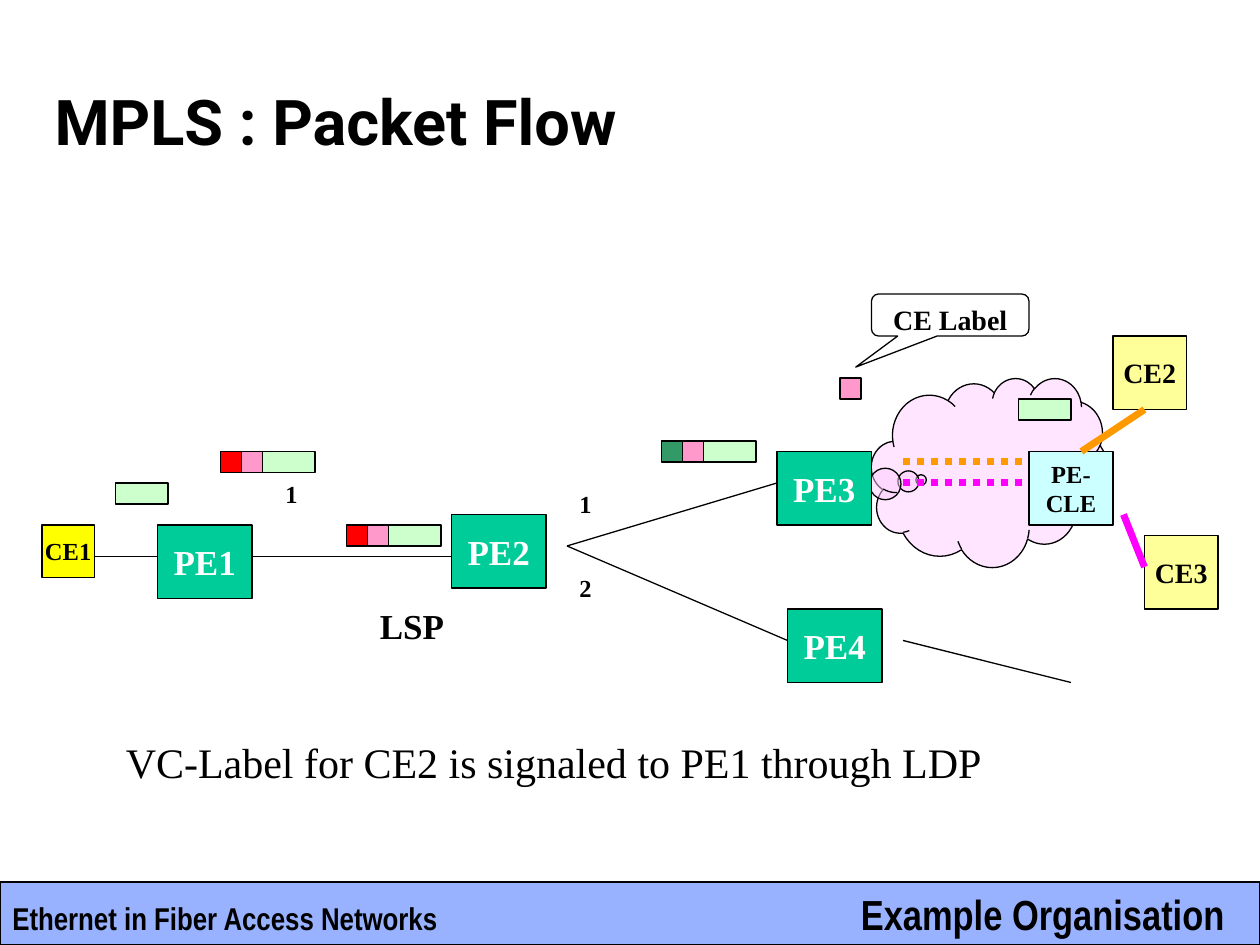
from dataclasses import dataclass
from typing import Optional

from lxml import etree
from pptx import Presentation
from pptx.dml.color import RGBColor
from pptx.enum.dml import MSO_LINE
from pptx.enum.shapes import MSO_CONNECTOR, MSO_SHAPE
from pptx.enum.text import MSO_ANCHOR, MSO_AUTO_SIZE, PP_ALIGN
from pptx.oxml.ns import qn
from pptx.util import Inches, Pt

RECTANGLE = MSO_SHAPE.RECTANGLE
CLOUD = MSO_SHAPE.CLOUD_CALLOUT
CALLOUT = MSO_SHAPE.ROUNDED_RECTANGULAR_CALLOUT
STRAIGHT = MSO_CONNECTOR.STRAIGHT
DOTTED = MSO_LINE.ROUND_DOT
MIDDLE, TOP = MSO_ANCHOR.MIDDLE, MSO_ANCHOR.TOP
LEFT, CENTER = PP_ALIGN.LEFT, PP_ALIGN.CENTER
GROW = MSO_AUTO_SIZE.SHAPE_TO_FIT_TEXT

BLACK = RGBColor(0x00, 0x00, 0x00)
WHITE = RGBColor(0xFF, 0xFF, 0xFF)
BLUE = RGBColor(0x33, 0x66, 0xFF)
TEAL = RGBColor(0x00, 0xCC, 0x99)
YELLOW = RGBColor(0xFF, 0xFF, 0x00)
PALE_YELLOW = RGBColor(0xFF, 0xFF, 0x99)
PALE_CYAN = RGBColor(0xCC, 0xFF, 0xFF)
PALE_GREEN = RGBColor(0xCC, 0xFF, 0xCC)
GREEN = RGBColor(0x33, 0x99, 0x66)
RED = RGBColor(0xFF, 0x00, 0x00)
PINK = RGBColor(0xFF, 0x99, 0xCC)
LILAC = RGBColor(0xFF, 0xCC, 0xFF)
ORANGE = RGBColor(0xFF, 0x99, 0x00)
MAGENTA = RGBColor(0xFF, 0x00, 0xFF)

SERIF, NARROW, HEADING = "Times New Roman", "Arial Narrow", "Roboto"
PAGE_WIDTH, PAGE_HEIGHT = Inches(10), Inches(7.5)
COLUMNS, ROWS = 120, 90
LABEL_SIZE = 2
PAYLOAD_WIDTH = 5


@dataclass(frozen=True)
class Area:
    column: float
    row: float
    width: float
    height: float

    def lengths(self) -> tuple[int, int, int, int]:
        return across(self.column), down(self.row), across(self.width), down(self.height)


@dataclass(frozen=True)
class Node:
    text: str
    area: Area
    fill: RGBColor
    size: int
    color: RGBColor = BLACK


@dataclass(frozen=True)
class Link:
    start: tuple[float, float]
    end: tuple[float, float]
    color: RGBColor = BLACK
    width: float = 0.75
    dash: Optional[MSO_LINE] = None


@dataclass(frozen=True)
class Label:
    text: str
    area: Area
    size: int
    font: str = SERIF
    bold: bool = True
    wrap: bool = False


def router(text: str, column: float, row: float) -> Node:
    return Node(text, Area(column, row, 9, 7), TEAL, 20, WHITE)


def across(columns: float) -> int:
    return round(PAGE_WIDTH * columns / COLUMNS)


def down(rows: float) -> int:
    return round(PAGE_HEIGHT * rows / ROWS)


def write(frame, text: str, size: int, font: str = SERIF, color: RGBColor = BLACK,
          bold: bool = True, align: PP_ALIGN = LEFT) -> None:
    for index, line in enumerate(text.split("\n")):
        para = frame.add_paragraph() if index else frame.paragraphs[0]
        para.alignment = align
        span = para.add_run()
        span.text = line
        span.font.name = font
        span.font.size = Pt(size)
        span.font.bold = bold
        span.font.color.rgb = color


def draw_shape(shapes, area: Area, fill: Optional[RGBColor], kind=RECTANGLE,
               opacity: int = 100, adjustments: tuple[float, ...] = ()):
    shape = shapes.add_shape(kind, *area.lengths())
    shape.shadow.inherit = False
    for index, value in enumerate(adjustments):
        shape.adjustments[index] = value
    if fill is None:
        shape.fill.background()
    else:
        shape.fill.solid()
        shape.fill.fore_color.rgb = fill
    if opacity < 100:
        color = shape.fill._xPr.find(qn("a:solidFill"))[0]
        etree.SubElement(color, qn("a:alpha"), val=str(opacity * 1000))
    shape.line.color.rgb = BLACK
    shape.line.width = Pt(0.75)
    return shape


def draw_node(shapes, node: Node) -> None:
    frame = draw_shape(shapes, node.area, node.fill).text_frame
    frame.word_wrap = False
    frame.vertical_anchor = MIDDLE
    write(frame, node.text, node.size, color=node.color, align=CENTER)


def draw_link(shapes, link: Link) -> None:
    connector = shapes.add_connector(STRAIGHT, across(link.start[0]), down(link.start[1]),
                                     across(link.end[0]), down(link.end[1]))
    connector.line.color.rgb = link.color
    connector.line.width = Pt(link.width)
    if link.dash is not None:
        connector.line.dash_style = link.dash
    etree.SubElement(connector._element.spPr, qn("a:effectLst"))


def draw_label(shapes, label: Label) -> None:
    frame = shapes.add_textbox(*label.area.lengths()).text_frame
    frame.word_wrap = label.wrap
    frame.auto_size = GROW
    write(frame, label.text, label.size, label.font, bold=label.bold)


def draw_payload(shapes, column: float, row: float) -> None:
    draw_shape(shapes, Area(column, row, PAYLOAD_WIDTH, LABEL_SIZE), PALE_GREEN)


def draw_mpls_label(shapes, column: float, row: float, fill: RGBColor) -> None:
    draw_shape(shapes, Area(column, row, LABEL_SIZE, LABEL_SIZE), fill)


def draw_packet(shapes, column: float, row: float, outer: RGBColor) -> None:
    packet = shapes.add_group_shape().shapes
    draw_payload(packet, column + 2 * LABEL_SIZE, row)
    draw_mpls_label(packet, column + LABEL_SIZE, row, PINK)
    draw_mpls_label(packet, column, row, outer)


FOOTERS = [
    Label("Example Organisation", Area(80.8, 84, 39.2, 6), 24, NARROW),
    Label("Ethernet in Fiber Access Networks", Area(0, 85, 43, 4.8), 18, NARROW),
]
CORE_NODES = [
    router("PE2", 43, 49), router("PE4", 75, 58), router("PE1", 15, 50),
    Node("CE1", Area(4, 50, 5, 5), YELLOW, 14),
]
CORE_LINKS = [
    Link((24, 53), (43, 53)), Link((54, 52), (74, 46)), Link((54, 52), (75, 61)),
    Link((86, 61), (102, 65)), Link((9, 53), (15, 53)),
]
LABELS = [
    Label("1", Area(26, 45, 3.6, 4), 14),
    Label("1", Area(54, 46, 3.6, 4), 14),
    Label("2", Area(54, 54, 3.6, 4), 14),
    Label("LSP", Area(35, 57, 8.5, 5.3), 20),
    Label("VC-Label for CE2 is signaled to PE1 through LDP",
          Area(10.8, 69.6, 84, 10.8), 24, bold=False, wrap=True),
]
PACKETS = [(63, 42, GREEN), (33, 50, RED), (21, 43, RED)]
TUNNELS = [Link((86, row), (99, row), color, 4, DOTTED)
           for row, color in ((44, ORANGE), (46, MAGENTA))]
ACCESS_NODES = [
    Node("CE2", Area(106, 32, 7, 7), PALE_YELLOW, 16),
    Node("CE3", Area(109, 51, 7, 7), PALE_YELLOW, 16),
    Node("PE-\nCLE", Area(98, 43, 8, 7), PALE_CYAN, 14),
]
ACCESS_LINKS = [Link((103, 43), (109, 39), ORANGE, 4), Link((109, 54), (107, 49), MAGENTA, 4)]


def main() -> None:
    deck = Presentation()
    deck.slide_width, deck.slide_height = PAGE_WIDTH, PAGE_HEIGHT
    page = deck.slides.add_slide(deck.slide_layouts[5])
    shapes = page.shapes
    title = shapes.title
    title.left, title.top, title.width, title.height = Area(4, 4, 102, 15).lengths()
    title.text_frame.vertical_anchor = MIDDLE
    write(title.text_frame, "MPLS : Packet Flow", 36, HEADING)

    draw_shape(shapes, Area(0, 84, COLUMNS, 6), BLUE, opacity=50)
    for node in CORE_NODES:
        draw_node(shapes, node)
    for link in CORE_LINKS:
        draw_link(shapes, link)
    for label in FOOTERS + LABELS:
        draw_label(shapes, label)

    draw_mpls_label(shapes, 80, 36, PINK)
    callout = draw_shape(shapes, Area(83, 28, 15, 4), None, CALLOUT,
                         adjustments=(-0.6, 1.24, 0.17)).text_frame
    callout.word_wrap = True
    callout.vertical_anchor = TOP
    write(callout, "CE Label", 16, align=CENTER)

    for column, row, outer in PACKETS:
        draw_packet(shapes, column, row, outer)
    draw_payload(shapes, 11, 46)

    access = shapes.add_group_shape().shapes
    draw_shape(access, Area(83, 36, 22.5, 18), LILAC, CLOUD, 50, (-0.29, 0.04))
    for tunnel in TUNNELS:
        draw_link(access, tunnel)
    for node in ACCESS_NODES:
        draw_node(access, node)
    for link in ACCESS_LINKS:
        draw_link(access, link)
    draw_payload(shapes, 97, 38)
    draw_node(shapes, router("PE3", 74, 43))
    deck.save("out.pptx")


if __name__ == "__main__":
    main()
